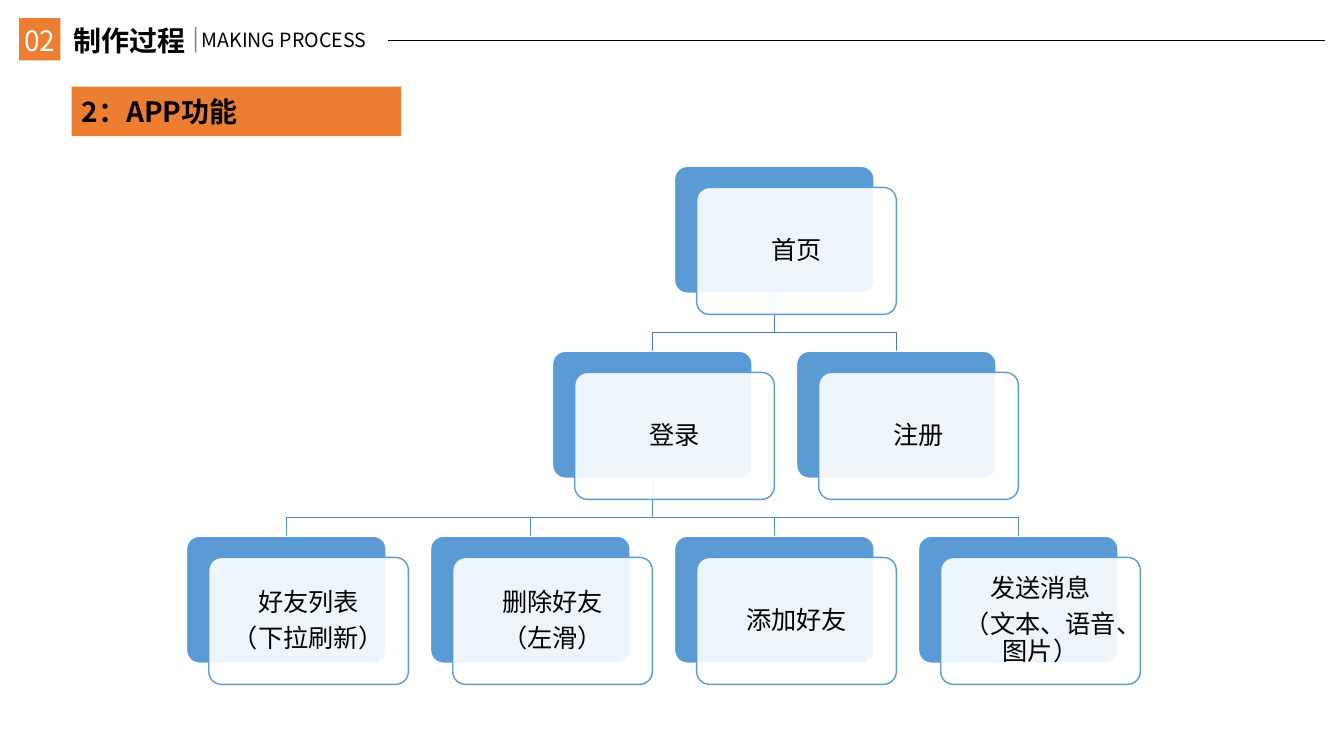
from lxml import etree
from pptx import Presentation
from pptx import util as u
from pptx.dml.color import RGBColor
from pptx.enum import shapes as s, text as t
from pptx.oxml import ns

HUES = {"accent": "ED7D31", "card": "5B9BD5", "top": "497CAB",
        "low": "538DC1", "ink": "000000", "paper": "FFFFFF"}
SANS, BODY = "Noto Sans CJK SC", "Calibri"
LEFT, TOP, COL, ROW = 1.85, 1.65, 2.42, 1.835
WIDE, HIGH, DX, DY, DROP = 1.98, 1.26, 0.22, 0.21, 1.65
NODES = {
    "home": (2, 0, ["首页"]),
    "login": (1.5, 1, ["登录"]),
    "list": (0, 2, ["好友列表", "（下拉刷新）"]),
    "delete": (1, 2, ["删除好友", "（左滑）"]),
    "add": (2, 2, ["添加好友"]),
    "send": (3, 2, ["发送消息", "（文本、语音、图片）"]),
    "join": (2.5, 1, ["注册"]),
}
EDGES = [("home", "join", "top"), ("login", "send", "low"),
         ("login", "add", "low"), ("login", "delete", "low"),
         ("login", "list", "low"), ("home", "login", "top")]


def hue(name):
    """Return a named colour."""
    return RGBColor.from_string(HUES[name])


def fade(part, share):
    """Set the opacity, in percent, of a solid fill inside an element."""
    tint = part.find(".//" + ns.qn("a:srgbClr"))
    etree.SubElement(tint, ns.qn("a:alpha"), val=str(share * 1000))


def spot(col, row):
    """Return the left and top of a grid cell in inches."""
    return LEFT + col * COL, TOP + row * ROW


def box(slide, kind, area, fill, line=None):
    """Add a filled preset shape."""
    shape = slide.shapes.add_shape(kind, *map(u.Inches, area))
    shape.shadow.inherit = False
    shape.fill.solid()
    shape.fill.fore_color.rgb = hue(fill)
    if line:
        shape.line.color.rgb = hue(line)
        shape.line.width = u.Pt(1)
    else:
        shape.line.fill.background()
    return shape


def style(para, face, size, color="ink", bold=False):
    """Set the font of a paragraph."""
    font = para.font
    font.name, font.size, font.bold = face, u.Pt(size), bold
    font.color.rgb = hue(color)


def label(slide, area, words, size=20, color="ink", bold=False,
          align=t.PP_ALIGN.LEFT, wrap=True, anchor=t.MSO_ANCHOR.MIDDLE):
    """Add a one-line text box."""
    frame = slide.shapes.add_textbox(*map(u.Inches, area)).text_frame
    frame.word_wrap, frame.vertical_anchor = wrap, anchor
    frame.text = words
    para = frame.paragraphs[0]
    para.alignment = align
    style(para, SANS, size, color, bold)


def rule(slide, start, end, width):
    """Add a straight line."""
    line = slide.shapes.add_connector(
        s.MSO_CONNECTOR.STRAIGHT, *map(u.Inches, start + end))
    line.line.color.rgb = hue("ink")
    line.line.width = u.Pt(width)
    etree.SubElement(line._element.spPr, ns.qn("a:effectLst"))
    return line


def branch(slide, parent, child, color):
    """Join a parent card to a child card with a bent line."""
    (x, y), (cx, cy) = (spot(*NODES[key][:2]) for key in (parent, child))
    x, cx = x + WIDE / 2, cx + WIDE / 2
    pen = slide.shapes.build_freeform(
        u.Inches(x), u.Inches(y + HIGH))
    bends = [(x, y + DROP), (cx, y + DROP), (cx, cy)]
    pen.add_line_segments(
        [(u.Inches(a), u.Inches(b)) for a, b in bends], close=False)
    shape = pen.convert_to_shape()
    shape.shadow.inherit = False
    shape.fill.background()
    shape.line.color.rgb = hue(color)
    shape.line.width = u.Pt(1)


def card(slide, col, row, lines):
    """Add a backing card and the clear panel that holds its text."""
    x, y = spot(col, row)
    kind = s.MSO_SHAPE.ROUNDED_RECTANGLE
    back = box(slide, kind, (x, y, WIDE, HIGH), "card", "paper")
    panel = box(slide, kind, (x + DX, y + DY, WIDE, HIGH), "paper", "card")
    back.adjustments[0] = panel.adjustments[0] = 0.1
    fade(panel._element.spPr, 90)
    frame = panel.text_frame
    frame.word_wrap, frame.vertical_anchor = True, t.MSO_ANCHOR.MIDDLE
    frame.margin_left = frame.margin_right = u.Inches(0.1)
    frame.margin_top = frame.margin_bottom = u.Inches(0.1)
    frame.text = "\n".join(lines)
    for para in frame.paragraphs:
        para.alignment = t.PP_ALIGN.CENTER
        para.line_spacing, para.space_after = 0.9, u.Pt(6.3)
        style(para, BODY, 18)


def header(slide):
    """Add the numbered title row and the section bar."""
    rect = s.MSO_SHAPE.RECTANGLE
    box(slide, rect, (0.19, 0.18, 0.41, 0.42), "accent")
    label(slide, (-0.08, 0.18, 0.95, 0.44), "02", color="paper",
          align=t.PP_ALIGN.CENTER)
    rule(slide, (3.85, 0.4), (13.14, 0.4), 0.5)
    box(slide, rect, (0.71, 0.86, 3.27, 0.49), "accent")
    label(slide, (0.71, 0.89, 3.5, 0.44), "2：APP功能", bold=True,
          anchor=t.MSO_ANCHOR.TOP)
    label(slide, (0.63, 0.18, 1.38, 0.44), "制作过程", bold=True)
    label(slide, (1.9, 0.23, 1.95, 0.34), "MAKING PROCESS", 14, wrap=False,
          anchor=t.MSO_ANCHOR.TOP)
    bar = rule(slide, (1.94, 0.27), (1.94, 0.52), 1)
    fade(bar._element.spPr, 49)


def main():
    """Build the slide and save it."""
    deck = Presentation()
    deck.slide_width, deck.slide_height = u.Inches(13.33), u.Inches(7.5)
    slide = deck.slides.add_slide(deck.slide_layouts[6])
    header(slide)
    for edge in EDGES:
        branch(slide, *edge)
    for node in NODES.values():
        card(slide, *node)
    deck.save("out.pptx")


if __name__ == "__main__":
    main()
